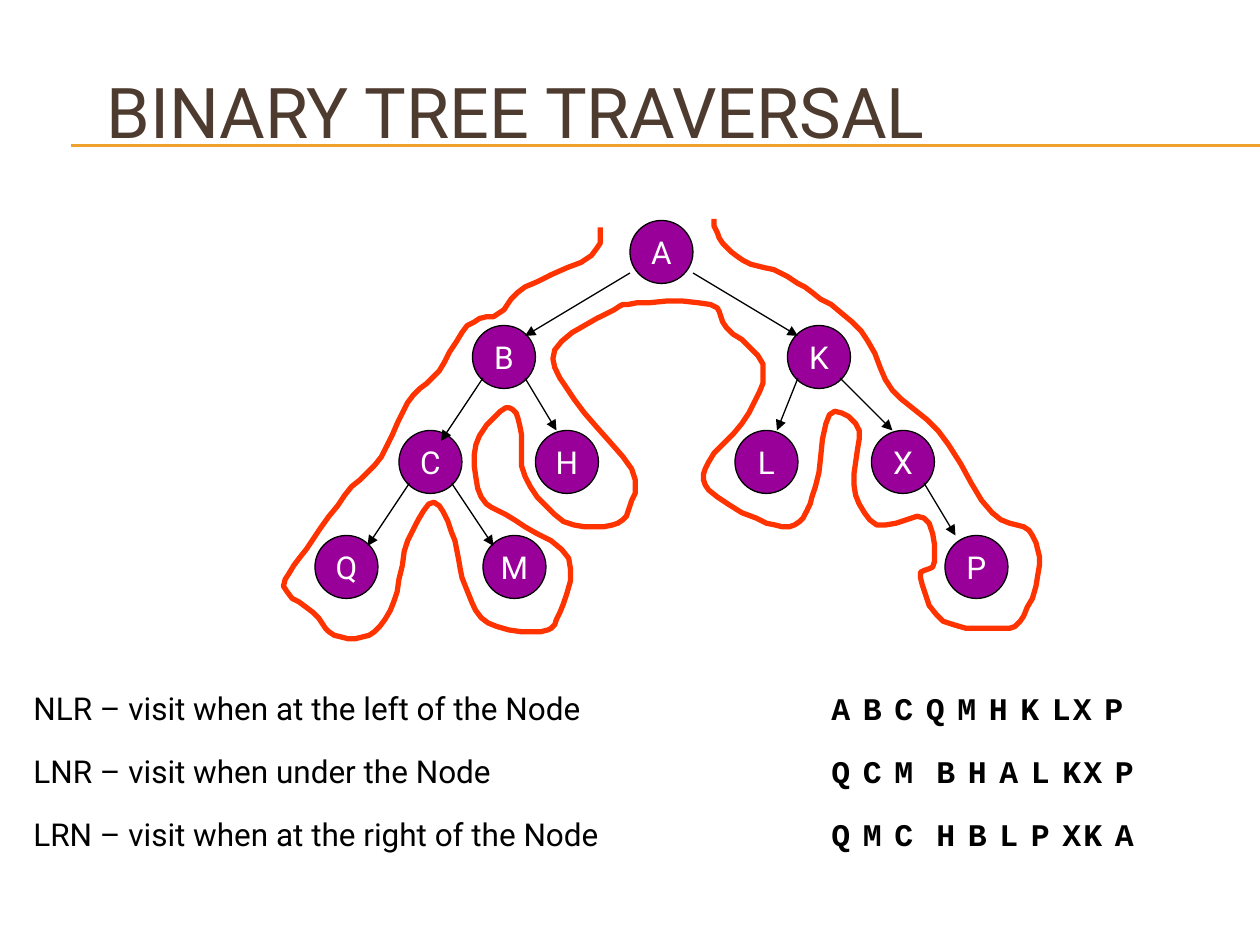
from lxml.etree import SubElement
from pptx import Presentation
from pptx.dml.color import RGBColor
from pptx.enum.shapes import MSO_CONNECTOR, MSO_SHAPE
from pptx.enum.text import MSO_ANCHOR, PP_ALIGN
from pptx.oxml.ns import qn
from pptx.util import Pt

COLORS = {"title": "4E3B30", "rule": "F0A22E", "node": "990099",
          "ink": "000000", "node text": "FFFFFF", "walk": "FF3300"}
NODE_SIZE = 36
ROW_STEP = 36
LETTER_STEP = 18

# Left of each node, level by level
LEVELS = [{"A": 360}, {"K": 450, "B": 270},
          {"C": 228, "H": 306, "L": 420, "X": 498},
          {"P": 540, "M": 276, "Q": 180}]
NODES = {label: (left, 126 + 60 * level)
         for level, row in enumerate(LEVELS) for label, left in row.items()}

# Parent and child, with the arrow tip measured from the child's corner
EDGES = {"AB": (30, 6), "AK": (6, 6), "KX": (12, 0), "KL": (24, 0), "BC": (24, 6),
         "BH": (12, 0), "XP": (6, 0), "CQ": (30, 6), "CM": (6, 6)}

# Turning points of the walk around the tree, smoothed when drawn
WALK = [
    # Down the left side and around Q
    (343, 130), (338, 146), (300, 164), (285, 179), (267, 186), (251, 212),
    (233, 230), (218, 261), (197, 283), (175, 314), (162, 335), (179, 350),
    (191, 363), (211, 363), (225, 344), (233, 309), (248, 287),
    # Around M
    (260, 309), (266, 335), (279, 356), (309, 361), (320, 350), (325, 319),
    (294, 297), (275, 284), (272, 254), (289, 233),
    # Around H and under the root
    (297, 243), (300, 272), (322, 298), (350, 300), (360, 289), (361, 268),
    (328, 228), (317, 200), (347, 179), (364, 173), (406, 174), (415, 187),
    (436, 208),
    # Around L
    (428, 236), (405, 264), (405, 280), (438, 299), (457, 298), (466, 278),
    (474, 237),
    # Under X and around P
    (491, 246), (488, 277), (501, 300), (528, 296), (534, 321), (526, 330),
    (539, 355), (573, 359), (585, 352), (594, 323), (588, 303), (567, 293),
    # Up the right side
    (536, 246), (510, 223), (492, 189), (464, 167), (446, 156), (425, 149),
    (411, 136), (408, 125)]

# Explanation of each order, then runs of letters with the left of the first
ORDERS = [
    ("NLR – visit when at the left of the Node",
     {"ABCQMHKL": 468, "XP": 606}),
    ("LNR – visit when under the Node",
     {"QCM": 468, "BHALK": 528, "XP": 612}),
    ("LRN – visit when at the right of the Node",
     {"QMC": 468, "HBLPX": 528, "KA": 612})]


def smooth(points, steps=5):
    """Points along a Catmull-Rom curve through the given points."""
    padded = [points[0], *points, points[-1]]
    curve = [points[0]]
    for corners in zip(padded, padded[1:], padded[2:], padded[3:]):
        for step in range(1, steps + 1):
            t = step / steps
            curve.append(tuple(
                b + t * (c - a + t * (2 * a - 5 * b + 4 * c - d
                                      + t * (3 * b - 3 * c + d - a))) / 2
                for a, b, c, d in zip(*corners)))
    return curve


class SlideBuilder:
    def __init__(self, slide, font="Roboto", size=18):
        self.shapes = slide.shapes
        self.font = font
        self.size = size

    def color(self, name):
        return RGBColor.from_string(COLORS[name])

    def format_text(self, shape, text, color, size=None, font=None, bold=False):
        shape.text_frame.text = text
        run_font = shape.text_frame.paragraphs[0].runs[0].font
        run_font.name = font or self.font
        run_font.size = Pt(size or self.size)
        run_font.bold = bold
        run_font.color.rgb = self.color(color)

    def format_line(self, line, color, width):
        line.color.rgb = self.color(color)
        line.width = Pt(width)

    def text(self, left, top, width, height, text, color="ink",
             anchor=MSO_ANCHOR.TOP, **style):
        box = self.shapes.add_textbox(Pt(left), Pt(top), Pt(width), Pt(height))
        self.format_text(box, text, color, **style)
        box.text_frame.word_wrap = True
        box.text_frame.vertical_anchor = anchor

    def line(self, x1, y1, x2, y2, color="ink", arrow=False):
        connector = self.shapes.add_connector(
            MSO_CONNECTOR.STRAIGHT, Pt(x1), Pt(y1), Pt(x2), Pt(y2))
        self.format_line(connector.line, color, 0.75)
        properties = connector._element.spPr
        if arrow:
            SubElement(properties.find(qn("a:ln")), qn("a:tailEnd"), type="triangle")
        SubElement(properties, qn("a:effectLst"))

    def node(self, left, top, label):
        shape = self.shapes.add_shape(
            MSO_SHAPE.OVAL, Pt(left), Pt(top), Pt(NODE_SIZE), Pt(NODE_SIZE))
        shape.shadow.inherit = False
        shape.fill.solid()
        shape.fill.fore_color.rgb = self.color("node")
        self.format_line(shape.line, "ink", 0.75)
        self.format_text(shape, label, "node text")
        shape.text_frame.word_wrap = False
        shape.text_frame.vertical_anchor = MSO_ANCHOR.MIDDLE
        shape.text_frame.paragraphs[0].alignment = PP_ALIGN.CENTER

    def edge(self, parent, child, tip):
        (parent_left, parent_top), (left, top) = NODES[parent], NODES[child]
        inset = 0 if parent == "A" else 6
        offset = inset if left < parent_left else NODE_SIZE - inset
        self.line(parent_left + offset, parent_top + 30,
                  left + tip[0], top + tip[1], arrow=True)

    def outline(self, points, color, width):
        builder = self.shapes.build_freeform(*points[0], scale=Pt(1))
        builder.add_line_segments(points[1:], close=False)
        shape = builder.convert_to_shape()
        shape.shadow.inherit = False
        shape.fill.background()
        self.format_line(shape.line, color, width)
        SubElement(shape._element.spPr.find(qn("a:ln")), qn("a:round"))


def main():
    presentation = Presentation()
    presentation.slide_width, presentation.slide_height = Pt(720), Pt(540)
    slide = presentation.slides.add_slide(presentation.slide_layouts[6])
    builder = SlideBuilder(slide)

    # Title with its double rule
    for y in (82.8, 83.5):
        builder.line(40.5, y, 720, y, "rule")
    builder.text(54, 18, 612, 90, "BINARY TREE TRAVERSAL", "title",
                 anchor=MSO_ANCHOR.MIDDLE, size=40)

    # Tree and the walk around it
    for label, (left, top) in NODES.items():
        builder.node(left, top, label)
    for (parent, child), tip in EDGES.items():
        builder.edge(parent, child, tip)
    builder.outline(smooth(WALK), "walk", 3)

    # Traversal orders
    for row, (explanation, groups) in enumerate(ORDERS):
        top = 390 + ROW_STEP * row
        builder.text(12, top, 444, 36, explanation)
        for letters, left in groups.items():
            for column, letter in enumerate(letters):
                builder.text(left + LETTER_STEP * column, top, 30, 36, letter,
                             font="Courier New", bold=True)

    presentation.save("out.pptx")


if __name__ == "__main__":
    main()
